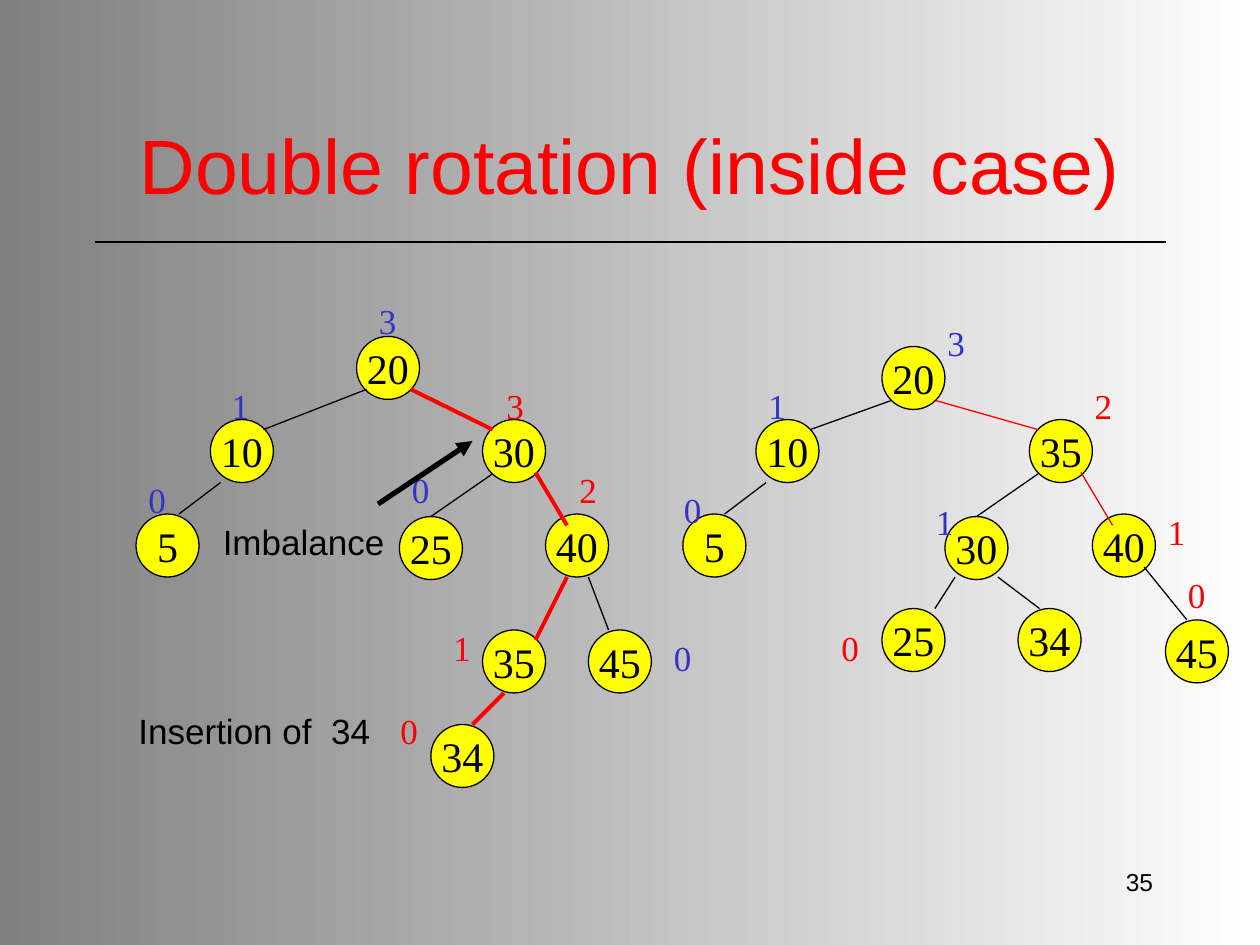
"""Build a slide on the double rotation of an AVL tree."""
import lxml.etree
import pptx
import pptx.dml.color
import pptx.enum.shapes
import pptx.enum.text
import pptx.oxml.ns
import pptx.util

Inches = pptx.util.Inches
Pt = pptx.util.Pt
RGBColor = pptx.dml.color.RGBColor
ALIGN = pptx.enum.text.PP_ALIGN
ANCHOR = pptx.enum.text.MSO_ANCHOR
qn = pptx.oxml.ns.qn

BLACK = RGBColor(0x00, 0x00, 0x00)
WHITE = RGBColor(0xFF, 0xFF, 0xFF)
GRAY = RGBColor(0x80, 0x80, 0x80)
RED = RGBColor(0xFF, 0x00, 0x00)
BLUE = RGBColor(0x33, 0x33, 0xCC)
YELLOW = RGBColor(0xFF, 0xFF, 0x00)
SANS, SERIF = "Arial", "Times New Roman"
THIN, BOLD, HEAVY = 0.75, 2.25, 3

NODES = [
    ("20", 2.83, 2.67), ("10", 1.67, 3.33), ("30", 3.83, 3.33),
    ("25", 3.17, 4.1), ("40", 4.33, 4.08), ("5", 1.08, 4.08),
    ("45", 4.67, 5), ("35", 3.83, 5), ("34", 3.42, 5.75),
    ("20", 7, 2.75), ("10", 6, 3.33), ("35", 8.17, 3.33),
    ("30", 7.5, 4.1), ("40", 8.67, 4.08), ("5", 5.42, 4.08),
    ("45", 9.25, 4.92), ("25", 7, 4.83), ("34", 8.08, 4.83),
]
EDGES = {
    (BLACK, THIN): [
        (2.91, 3.09, 2.09, 3.41), (3.91, 3.76, 3.42, 4.1),
        (1.75, 3.83, 1.42, 4.08), (4.67, 4.58, 4.83, 5),
        (7.07, 3.18, 6.43, 3.41), (8.24, 3.76, 7.75, 4.1),
        (6.08, 3.83, 5.75, 4.08), (9.08, 4.5, 9.42, 4.92),
        (7.58, 4.58, 7.42, 4.83), (7.92, 4.58, 8.25, 4.83),
    ],
    (RED, BOLD): [
        (3.26, 3.09, 3.91, 3.41), (4.25, 3.75, 4.5, 4.17),
        (4.5, 4.58, 4.25, 5.08), (4, 5.5, 3.75, 5.75),
    ],
    (RED, THIN): [(7.43, 3.18, 8.24, 3.41), (8.58, 3.75, 8.83, 4.17)],
}
HEIGHTS = {
    BLUE: [
        ("3", 2.91, 2.33), ("1", 1.74, 3), ("0", 3.17, 3.67),
        ("0", 1.08, 3.75), ("0", 5.25, 5), ("3", 7.42, 2.5),
        ("1", 6, 3), ("0", 5.33, 3.83), ("1", 7.33, 3.92),
    ],
    RED: [
        ("3", 3.92, 3), ("2", 4.5, 3.67), ("1", 3.5, 4.92),
        ("0", 3.08, 5.58), ("2", 8.59, 3), ("1", 9.17, 4),
        ("0", 9.33, 4.5), ("0", 6.58, 4.92),
    ],
}


class Board:
    """Hold the style and the current slide."""

    def __init__(self, slide):
        self.slide = slide
        self.shapes = slide.shapes

    def shade(self, start, end, angle):
        fill = self.slide.background.fill
        fill.gradient()
        fill.gradient_angle = angle
        for stop, color in zip(fill.gradient_stops, (start, end)):
            stop.color.rgb = color

    def letter(self, shape, text, size, font, color, align, anchor, wrap):
        frame = shape.text_frame
        frame.text = text
        frame.word_wrap = wrap
        frame.vertical_anchor = anchor
        para = frame.paragraphs[0]
        para.alignment = align
        style = para.runs[0].font
        style.size = Pt(size)
        style.name = font
        style.color.rgb = color

    def text(self, text, x, y, w, h, size=20, font=SANS, color=BLACK,
             align=ALIGN.LEFT, anchor=ANCHOR.TOP, wrap=True):
        box = self.shapes.add_textbox(Inches(x), Inches(y), Inches(w), Inches(h))
        self.letter(box, text, size, font, color, align, anchor, wrap)

    def label(self, text, x, y, color):
        self.text(text, x, y, 0.34, 0.44, font=SERIF, color=color, wrap=False)

    def node(self, text, x, y):
        side = Inches(0.5)
        oval = self.shapes.add_shape(
            pptx.enum.shapes.MSO_SHAPE.OVAL, Inches(x), Inches(y), side, side)
        oval.shadow.inherit = False
        oval.fill.solid()
        oval.fill.fore_color.rgb = YELLOW
        oval.line.color.rgb = BLACK
        oval.line.width = Pt(THIN)
        self.letter(oval, text, 24, SERIF, BLACK, ALIGN.CENTER, ANCHOR.MIDDLE, False)

    def line(self, ends, color=BLACK, width=THIN, arrow=False):
        wire = self.shapes.add_connector(
            pptx.enum.shapes.MSO_CONNECTOR.STRAIGHT, *map(Inches, ends))
        wire.line.color.rgb = color
        wire.line.width = Pt(width)
        props = wire.element.spPr
        if arrow:
            lxml.etree.SubElement(
                props.find(qn("a:ln")), qn("a:tailEnd"), type="triangle")
        lxml.etree.SubElement(props, qn("a:effectLst"))


def main():
    deck = pptx.Presentation()
    deck.slide_width = Inches(10)
    deck.slide_height = Inches(7.5)
    board = Board(deck.slides.add_slide(deck.slide_layouts[6]))
    board.shade(WHITE, GRAY, 180)

    board.line((0.75, 1.92, 9.25, 1.92))
    board.text("35", 7.17, 6.83, 2.08, 0.5, size=14, align=ALIGN.RIGHT)
    board.text("Double rotation (inside case)", 0.75, 0.67, 8.5, 1.25, size=44,
               color=RED, align=ALIGN.CENTER, anchor=ANCHOR.MIDDLE)

    for node in NODES:
        board.node(*node)
    for (color, width), group in EDGES.items():
        for ends in group:
            board.line(ends, color, width)
    for color, group in HEIGHTS.items():
        for text, x, y in group:
            board.label(text, x, y, color)

    board.text("Imbalance", 1.67, 4.08, 1.5, 0.44)
    board.line((3, 4, 3.75, 3.5), width=HEAVY, arrow=True)
    board.text("Insertion of  34", 1, 5.58, 2.08, 0.44)
    deck.save("out.pptx")


if __name__ == "__main__":
    main()
